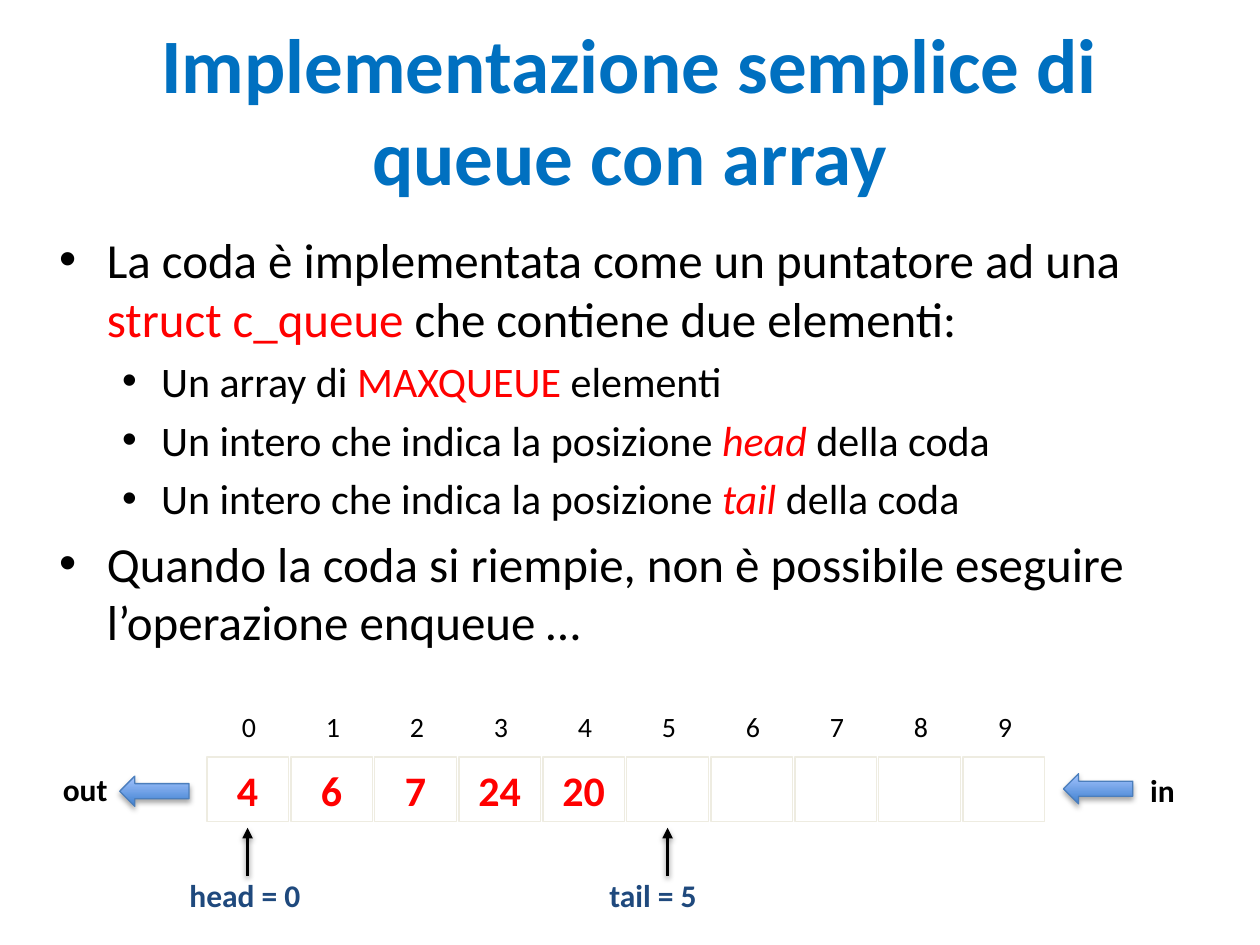
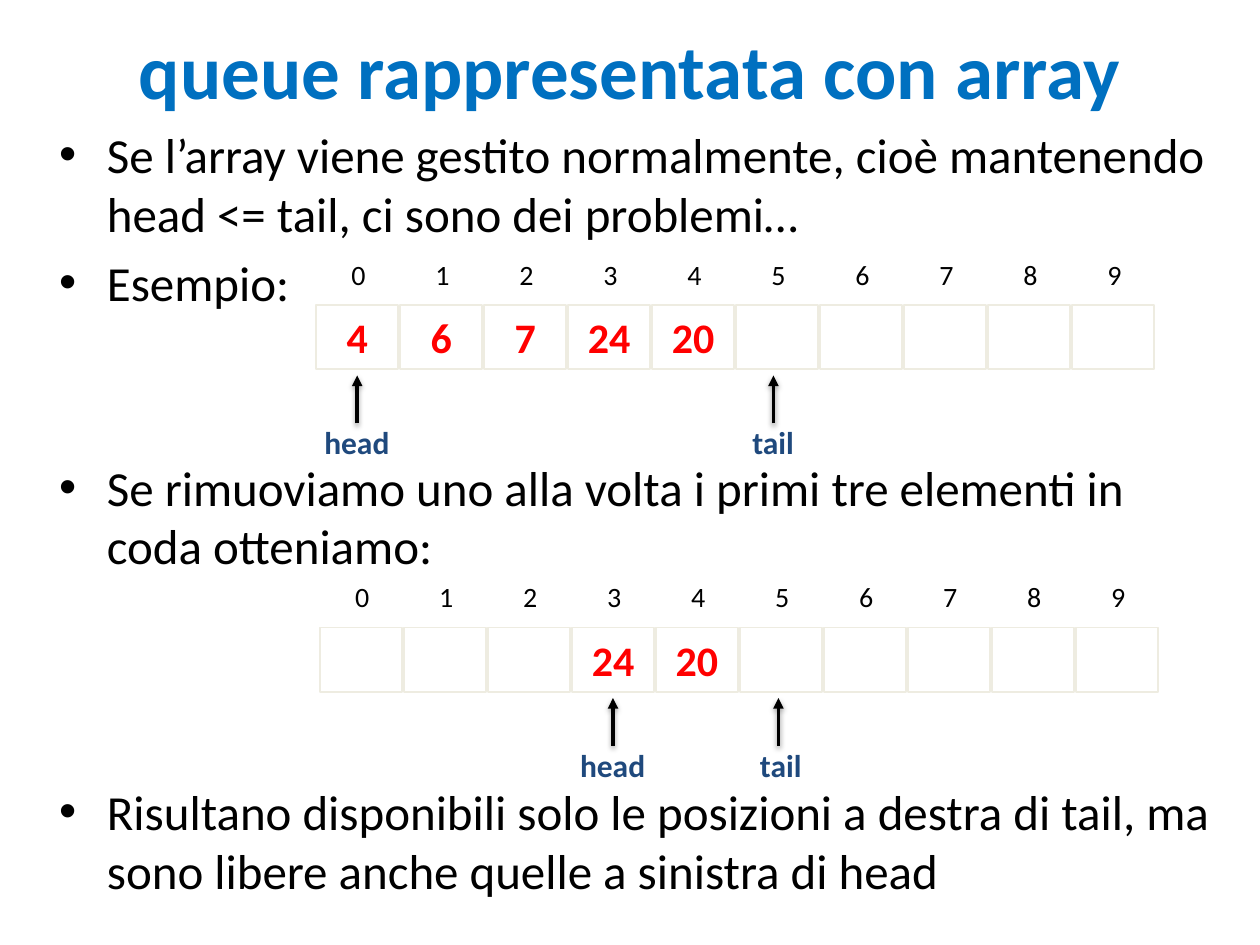
import dataclasses
import typing

import lxml.etree
import pptx
import pptx.dml.color
import pptx.enum.dml
import pptx.enum.shapes
import pptx.enum.text
import pptx.oxml.ns
import pptx.util

# Shared look; the slide is a grid of 10 columns by 7.5 rows
COLS, ROWS = 10, 7.5
UNIT = pptx.util.Inches(1)
FONT = "Calibri"
BLUE, NAVY, RED = "0070C0", "1F497D", "FF0000"
BLACK, WHITE, SAND = "000000", "FFFFFF", "EEECE1"
DARK, LIGHT, EDGE = "3F80CE", "A4C4FF", "4B7EBC"

# Queue rows: ten cells at an equal pitch
COUNT, PITCH, WIDE, HIGH = 10, 2 / 3, 0.65, 0.51
SHAPE = pptx.enum.shapes.MSO_SHAPE
MID = pptx.enum.text.MSO_ANCHOR.MIDDLE
CENTER = pptx.enum.text.PP_ALIGN.CENTER
qn = pptx.oxml.ns.qn


@dataclasses.dataclass
class Span:
    text: str
    color: str = BLACK
    slant: bool = False


@dataclasses.dataclass
class Item:
    spans: list[Span]
    level: int = 0
    gap: float = 0  # points before; 0 means a fifth of the text size


@dataclasses.dataclass
class Mark:
    label: str
    col: int
    width: float
    shift: float = 0  # arrow offset from the middle of its cell
    lead: float = 0  # label offset from the arrow


@dataclasses.dataclass
class Queue:
    left: float
    top: float
    values: dict[int, str]
    marks: list[Mark]


def grid(*nums: float) -> list[int]:
    return [round(num * UNIT) for num in nums]


def tint(code: str) -> pptx.dml.color.RGBColor:
    return pptx.dml.color.RGBColor.from_string(code)


def style(run: typing.Any, size: float, color: str, bold: bool = False,
          slant: bool = False) -> None:
    font = run.font
    font.name, font.size = FONT, pptx.util.Pt(size)
    font.bold, font.italic = bold, slant
    font.color.rgb = tint(color)


def shade(shape: typing.Any, alpha: int, dist: float) -> None:
    """Cast a soft shadow straight down."""
    props = shape._element.spPr
    effect = props.find(qn("a:effectLst"))
    if effect is None:
        effect = lxml.etree.SubElement(props, qn("a:effectLst"))
    outer = lxml.etree.SubElement(
        effect, qn("a:outerShdw"), blurRad=str(pptx.util.Pt(3.1)),
        dist=str(pptx.util.Pt(dist)), dir="5400000", rotWithShape="0")
    color = lxml.etree.SubElement(outer, qn("a:srgbClr"), val=BLACK)
    lxml.etree.SubElement(color, qn("a:alpha"), val=str(alpha * 1000))


def title(slide: typing.Any, text: str, height: float) -> None:
    shape = slide.shapes.title
    shape.left, shape.top, shape.width, shape.height = grid(
        0.5, 0.14, COLS - 1, height)
    frame = shape.text_frame
    frame.text, frame.vertical_anchor = text, MID
    frame.paragraphs[0].alignment = CENTER
    style(frame.paragraphs[0].runs[0], 44, BLUE, bold=True)


def body(slide: typing.Any, top: float, height: float,
         items: list[Item]) -> None:
    frame = slide.shapes.add_textbox(*grid(0.37, top, 9.42, height)).text_frame
    frame.word_wrap = True
    for num, item in enumerate(items):
        para = frame.add_paragraph() if num else frame.paragraphs[0]
        size, left, hang = [(28, 0.38, 0.38), (24, 0.81, 0.31)][item.level]
        para.level = item.level
        para.space_before = pptx.util.Pt(item.gap or size / 5)
        for span in item.spans:
            run = para.add_run()
            run.text = span.text
            style(run, size, span.color, slant=span.slant)
        # Bullet and hanging indent
        props = para._p.get_or_add_pPr()
        for key, num in zip(("marL", "indent"), grid(left, -hang)):
            props.set(key, str(num))
        lxml.etree.SubElement(props, qn("a:buFont"), typeface="Arial")
        lxml.etree.SubElement(props, qn("a:buChar"), char="•")


def label(slide: typing.Any, text: str, left: float, top: float,
          width: float, color: str) -> None:
    frame = slide.shapes.add_textbox(*grid(left, top, width, 0.4)).text_frame
    frame.text, frame.word_wrap = text, False
    frame.auto_size = pptx.enum.text.MSO_AUTO_SIZE.SHAPE_TO_FIT_TEXT
    style(frame.paragraphs[0].runs[0], 18, color, bold=True)


def strip(slide: typing.Any, left: float, top: float, texts: list[str],
          size: float, color: str, edge: str = "", bold: bool = False) -> None:
    """Draw one row of equal cells as a group."""
    group = slide.shapes.add_group_shape()
    for col, text in enumerate(texts):
        cell = group.shapes.add_shape(
            SHAPE.RECTANGLE, *grid(left + col * PITCH, top, WIDE, HIGH))
        cell.shadow.inherit = False
        cell.fill.solid()
        cell.fill.fore_color.rgb = tint(WHITE)
        if edge:
            cell.line.color.rgb = tint(edge)
            cell.line.width = pptx.util.Pt(1)
        else:
            cell.line.fill.background()
        if text:
            frame = cell.text_frame
            frame.text, frame.word_wrap = text, False
            frame.vertical_anchor = MID
            frame.paragraphs[0].alignment = CENTER
            style(frame.paragraphs[0].runs[0], size, color, bold)


def point(slide: typing.Any, x: float, low: float, high: float) -> None:
    """Draw an upright arrow from low to high."""
    line = slide.shapes.add_connector(
        pptx.enum.shapes.MSO_CONNECTOR.STRAIGHT, *grid(x, low, x, high))
    line.line.color.rgb = tint(BLACK)
    line.line.width = pptx.util.Pt(2)
    lxml.etree.SubElement(line.line._get_or_add_ln(), qn("a:tailEnd"),
                          type="triangle")
    shade(line, 38, 1.6)


def draw(slide: typing.Any, queue: Queue) -> None:
    left, top = queue.left, queue.top
    strip(slide, left + 0.01, top - 0.5, [str(n) for n in range(COUNT)],
          16, BLACK)
    strip(slide, left, top, [queue.values.get(n, "") for n in range(COUNT)],
          24, RED, SAND, bold=True)
    for mark in queue.marks:
        x = left + mark.col * PITCH + WIDE / 2 + mark.shift
        label(slide, mark.label, x - mark.width / 2 + mark.lead, top + 0.89,
              mark.width, NAVY)
        point(slide, x, top + 0.94, top + 0.56)


def flow(slide: typing.Any, left: float, top: float) -> None:
    """Draw a block arrow that shows the way through the queue."""
    arrow = slide.shapes.add_shape(SHAPE.LEFT_ARROW,
                                   *grid(left, top, 0.55, 0.24))
    arrow.shadow.inherit = False
    arrow.fill.gradient()
    arrow.fill.gradient_angle = 90
    for stop, code, place in zip(arrow.fill.gradient_stops, (DARK, LIGHT),
                                 (0, 1)):
        stop.color.rgb, stop.position = tint(code), place
    arrow.line.color.rgb = tint(EDGE)
    arrow.line.width = pptx.util.Pt(0.75)
    shade(arrow, 35, 1.8)


deck = pptx.Presentation()
deck.slide_width, deck.slide_height = grid(COLS, ROWS)
plain = deck.slide_layouts.get_by_name("Title Only")
FULL = dict(enumerate(["4", "6", "7", "24", "20"]))

# Slide 1: the structure of the queue
first = deck.slides.add_slide(plain)
title(first, "Implementazione semplice di queue con array", 1.45)
where = "Un intero che indica la posizione "
body(first, 1.77, 3.68, [
    Item([Span("La coda è implementata come un puntatore ad una "),
          Span("struct c_queue", RED), Span(" che contiene due elementi:")]),
    Item([Span("Un array di "), Span("MAXQUEUE", RED), Span(" elementi")], 1),
    *[Item([Span(where), Span(name, RED, True), Span(" della coda")], 1)
      for name in ("head", "tail")],
    Item([Span("Quando la coda si riempie, non è possibile eseguire "
               "l’operazione enqueue …")]),
])
draw(first, Queue(1.64, 6.01, FULL, [
    Mark("head = 0", 0, 1.12), Mark("tail = 5", 5, 0.9, lead=-0.11)]))
flow(first, 8.44, 6.14)
label(first, "in", 9.03, 6.07, 0.4, BLACK)
flow(first, 0.95, 6.16)
label(first, "out", 0.4, 6.06, 0.56, BLACK)

# Slide 2: the queue before and after three removals
second = deck.slides.add_slide(plain)
title(second, "queue rappresentata con array", 0.81)
for queue in (
    Queue(2.51, 2.42, FULL,
          [Mark("head", 0, 0.72), Mark("tail", 5, 0.53, -0.03)]),
    Queue(2.54, 4.98, {n: FULL[n] for n in (3, 4)},
          [Mark("head", 3, 0.72), Mark("tail", 5, 0.53, -0.02, 0.02)]),
):
    draw(second, queue)
body(second, 0.94, 6.34, [
    Item([Span("Se l’array viene gestito normalmente, cioè mantenendo "
               "head <= tail, ci sono dei problemi…")]),
    Item([Span("Esempio:")]),
    Item([Span("Se rimuoviamo uno alla volta i primi tre elementi in coda "
               "otteniamo:")], gap=83.5),
    Item([Span("Risultano disponibili solo le posizioni a destra di tail, ma "
               "sono libere anche quelle a sinistra di head")], gap=118),
])

deck.save("out.pptx")
